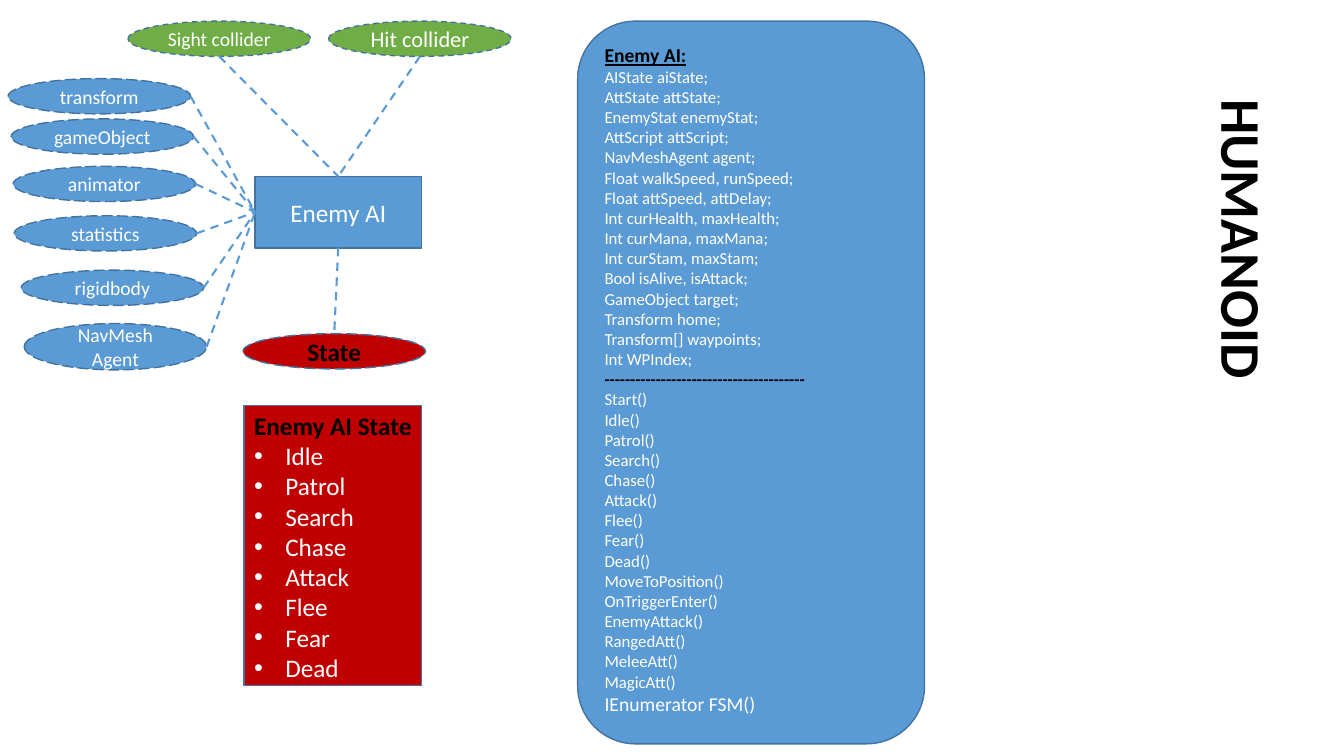
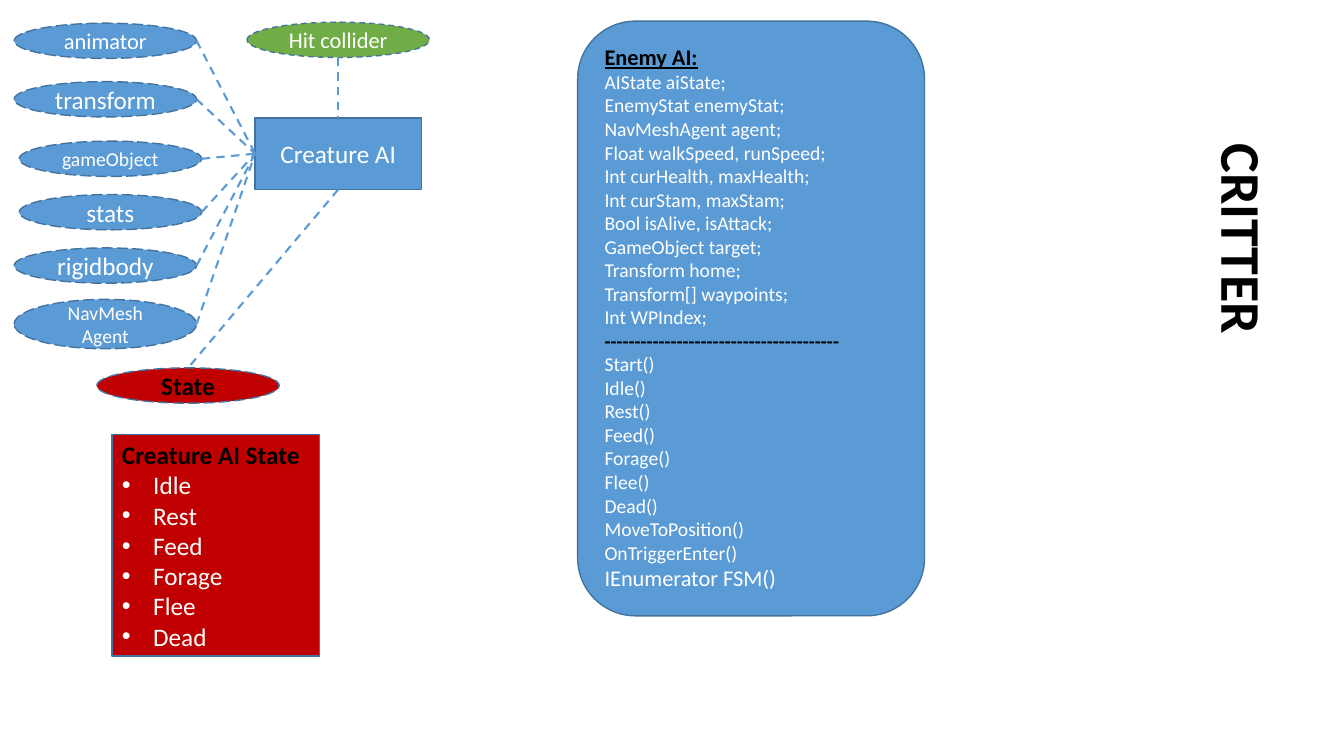
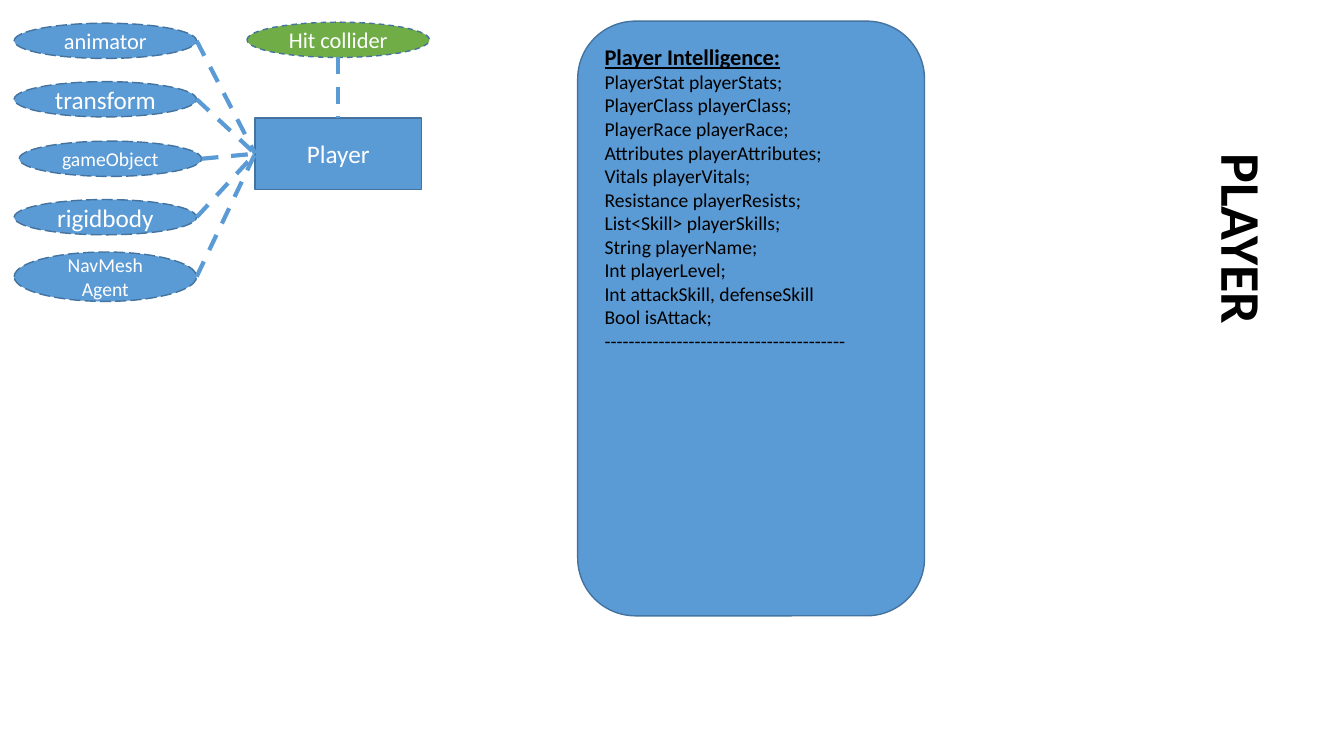
"""Build three slides that map the components, states and code of game actors."""
import pptx
import pptx.util
import pptx.dml.color
import pptx.enum.dml
import pptx.enum.shapes
import pptx.enum.text
import lxml.etree

Inches = pptx.util.Inches
Shape = pptx.enum.shapes.MSO_SHAPE
Dash = pptx.enum.dml.MSO_LINE
Anchor = pptx.enum.text.MSO_ANCHOR
Align = pptx.enum.text.PP_ALIGN

COLORS = {"blue": "5B9BD5", "edge": "43739E", "green": "70AD47",
          "red": "C00000", "white": "FFFFFF", "black": "000000"}
RGB = {name: pptx.dml.color.RGBColor.from_string(value) for name, value in COLORS.items()}
FONT = "Calibri"
NODE_WIDTH, NODE_HEIGHT = 1.81, 0.35
CORE_LEFT, CORE_WIDTH, CORE_HEIGHT = 2.53, 1.65, 0.71
CORE_CENTER = CORE_LEFT + CORE_WIDTH / 2
DIVIDER = "-" * 39

ACTORS = [
    {
        "title": "HUMANOID", "core": "Enemy AI", "core_top": 1.75, "link_width": 1.5,
        "components": [("transform", 0.08, 0.78, NODE_HEIGHT, 14),
                       ("gameObject", 0.11, 1.18, NODE_HEIGHT, 14),
                       ("animator", 0.13, 1.65, NODE_HEIGHT, 14),
                       ("statistics", 0.14, 2.14, NODE_HEIGHT, 14),
                       ("rigidbody", 0.21, 2.68, NODE_HEIGHT, 14),
                       ("NavMesh Agent", 0.24, 3.21, 0.46, 14)],
        "colliders": [("Sight collider", 1.27, 0.21, 14), ("Hit collider", 3.26, 0.21, 16)],
        "state_at": (2.41, 3.31), "states_box": (2.42, 4.02, 1.76, 2.78),
        "states": ["Idle", "Patrol", "Search", "Chase", "Attack", "Flee", "Fear", "Dead"],
        "code_height": 7.17, "code_size": 12, "code_color": "white",
        "code": ["Enemy AI:", "AIState aiState;", "AttState attState;",
                 "EnemyStat enemyStat;", "AttScript attScript;", "NavMeshAgent agent;",
                 "Float walkSpeed, runSpeed;", "Float attSpeed, attDelay;",
                 "Int curHealth, maxHealth;", "Int curMana, maxMana;",
                 "Int curStam, maxStam;", "Bool isAlive, isAttack;",
                 "GameObject target;", "Transform home;", "Transform[] waypoints;",
                 "Int WPIndex;", DIVIDER, "Start()", "Idle()", "Patrol()", "Search()",
                 "Chase()", "Attack()", "Flee()", "Fear()", "Dead()", "MoveToPosition()",
                 "OnTriggerEnter()", "EnemyAttack()", "RangedAtt()", "MeleeAtt()",
                 "MagicAtt()", "IEnumerator FSM()"],
    },
    {
        "title": "CRITTER", "core": "Creature AI", "core_top": 1.17, "link_width": 1.5,
        "components": [("animator", 0.14, 0.23, NODE_HEIGHT, 16),
                       ("transform", 0.14, 0.81, NODE_HEIGHT, 18),
                       ("gameObject", 0.19, 1.4, NODE_HEIGHT, 14),
                       ("stats", 0.19, 1.93, NODE_HEIGHT, 18),
                       ("rigidbody", 0.14, 2.46, NODE_HEIGHT, 18),
                       ("NavMesh Agent", 0.14, 2.97, 0.49, 14)],
        "colliders": [("Hit collider", 2.45, 0.22, 16)],
        "state_at": (0.96, 3.65), "states_box": (1.11, 4.31, 2.06, 2.2),
        "states": ["Idle", "Rest", "Feed", "Forage", "Flee", "Dead"],
        "code_height": 5.9, "code_size": 14, "code_color": "white",
        "code": ["Enemy AI:", "AIState aiState;", "EnemyStat enemyStat;",
                 "NavMeshAgent agent;", "Float walkSpeed, runSpeed;",
                 "Int curHealth, maxHealth;", "Int curStam, maxStam;",
                 "Bool isAlive, isAttack;", "GameObject target;", "Transform home;",
                 "Transform[] waypoints;", "Int WPIndex;", DIVIDER, "Start()", "Idle()",
                 "Rest()", "Feed()", "Forage()", "Flee()", "Dead()", "MoveToPosition()",
                 "OnTriggerEnter()", "IEnumerator FSM()"],
    },
    {
        "title": "PLAYER", "core": "Player", "core_top": 1.17, "link_width": 3,
        "components": [("animator", 0.14, 0.23, NODE_HEIGHT, 16),
                       ("transform", 0.14, 0.81, NODE_HEIGHT, 18),
                       ("gameObject", 0.19, 1.4, NODE_HEIGHT, 14),
                       ("rigidbody", 0.14, 1.98, NODE_HEIGHT, 18),
                       ("NavMesh Agent", 0.14, 2.5, 0.49, 14)],
        "colliders": [("Hit collider", 2.45, 0.22, 16)],
        "states": [],
        "code_height": 5.9, "code_size": 14, "code_color": "black",
        "code": ["Player Intelligence:", "PlayerStat playerStats;",
                 "PlayerClass playerClass;", "PlayerRace playerRace;",
                 "Attributes playerAttributes;", "Vitals playerVitals;",
                 "Resistance playerResists;", "List<Skill> playerSkills;",
                 "String playerName;", "Int playerLevel;", "Int attackSkill, defenseSkill",
                 "Bool isAttack;", DIVIDER + "-"],
    },
]


def add_node(slide, kind, box, text, fill, size, color="white", bold=False, dash=None):
    node = slide.shapes.add_shape(kind, *map(Inches, box))
    node.shadow.inherit = False
    node.fill.solid()
    node.fill.fore_color.rgb = RGB[fill]
    node.line.color.rgb = RGB["edge"]
    node.line.width = pptx.util.Pt(1)
    if dash:
        node.line.dash_style = dash
    node.text_frame.text = text
    for paragraph in node.text_frame.paragraphs:
        paragraph.alignment = Align.CENTER
        paragraph.font.name = FONT
        paragraph.font.size = pptx.util.Pt(size)
        paragraph.font.bold = bold
        paragraph.font.color.rgb = RGB[color]
    return node


def add_link(slide, start, end, width):
    link = slide.shapes.add_connector(pptx.enum.shapes.MSO_CONNECTOR.STRAIGHT,
                                      *map(Inches, start + end))
    link.line.color.rgb = RGB["blue"]
    link.line.width = pptx.util.Pt(width)
    link.line.dash_style = Dash.DASH
    lxml.etree.SubElement(link._element.spPr, pptx.oxml.ns.qn("a:effectLst"))


deck = pptx.Presentation()
deck.slide_width, deck.slide_height = Inches(13.33), Inches(7.5)
content_layout, title_layout = deck.slide_layouts[1], deck.slide_layouts[5]

for actor in ACTORS:
    slide = deck.slides.add_slide(content_layout if actor["states"] else title_layout)
    core_top, width = actor["core_top"], actor["link_width"]
    core_side = (CORE_LEFT, core_top + CORE_HEIGHT / 2)

    title = slide.shapes.title
    title.left, title.top, title.width, title.height = map(Inches, (10.62, 1.93, 3.32, 0.88))
    title.rotation = 90
    title.text_frame.text = actor["title"]
    title.text_frame.auto_size = pptx.enum.text.MSO_AUTO_SIZE.NONE
    title.text_frame.vertical_anchor = Anchor.TOP
    heading = title.text_frame.paragraphs[0]
    heading.alignment = Align.CENTER
    heading.font.name, heading.font.size, heading.font.bold = FONT, pptx.util.Pt(40), True
    heading.font.color.rgb = RGB["black"]

    add_node(slide, Shape.RECTANGLE, (CORE_LEFT, core_top, CORE_WIDTH, CORE_HEIGHT),
             actor["core"], "blue", 18)

    for label, left, top, height, size in actor["components"]:
        add_node(slide, Shape.OVAL, (left, top, NODE_WIDTH, height), label, "blue", size,
                 dash=Dash.LONG_DASH)
        add_link(slide, (left + NODE_WIDTH, top + height / 2), core_side, width)

    for label, left, top, size in actor["colliders"]:
        add_node(slide, Shape.OVAL, (left, top, NODE_WIDTH, NODE_HEIGHT), label, "green", size,
                 dash=Dash.DASH)
        add_link(slide, (left + NODE_WIDTH / 2, top + NODE_HEIGHT), (CORE_CENTER, core_top), width)

    if actor["states"]:
        left, top = actor["state_at"]
        add_node(slide, Shape.OVAL, (left, top, NODE_WIDTH, NODE_HEIGHT), "State", "red", 18,
                 color="black", bold=True, dash=Dash.LONG_DASH)
        add_link(slide, (CORE_CENTER, core_top + CORE_HEIGHT), (left + NODE_WIDTH / 2, top), width)

        states = slide.placeholders[1]
        states.left, states.top, states.width, states.height = map(Inches, actor["states_box"])
        states.fill.solid()
        states.fill.fore_color.rgb = RGB["red"]
        states.line.color.rgb = RGB["edge"]
        states.line.width = pptx.util.Pt(1)
        states.text_frame.text = "\n".join([actor["core"] + " State"] + actor["states"])
        states.text_frame.auto_size = pptx.enum.text.MSO_AUTO_SIZE.NONE
        states.text_frame.vertical_anchor = Anchor.TOP
        states.text_frame.margin_right = 0
        for row, paragraph in enumerate(states.text_frame.paragraphs):
            paragraph.space_before = pptx.util.Pt(0)
            paragraph.font.name, paragraph.font.size = FONT, pptx.util.Pt(18)
            paragraph.font.bold = row == 0
            paragraph.font.color.rgb = RGB["white" if row else "black"]
            indent = Inches(0.31) if row else 0
            properties = paragraph._p.get_or_add_pPr()
            properties.set("marL", str(indent))
            properties.set("indent", str(-indent))
            if row == 0:
                bullet = lxml.etree.Element(pptx.oxml.ns.qn("a:buNone"))
                properties.find(pptx.oxml.ns.qn("a:defRPr")).addprevious(bullet)

    code = add_node(slide, Shape.ROUNDED_RECTANGLE, (5.73, 0.21, 3.44, actor["code_height"]),
                    "\n".join(actor["code"]), "blue", actor["code_size"], actor["code_color"])
    code.text_frame.vertical_anchor = Anchor.TOP
    for row, paragraph in enumerate(code.text_frame.paragraphs):
        paragraph.alignment = Align.LEFT
        if row == 0 or paragraph.text == DIVIDER:
            paragraph.font.bold = True
            paragraph.font.color.rgb = RGB["black"]
        if row == 0 or paragraph.text.startswith("IEnumerator"):
            paragraph.font.size = pptx.util.Pt(actor["code_size"] + 2)
        paragraph.font.underline = row == 0

    for paragraph in [p for shape in slide.shapes if shape.has_text_frame
                      for p in shape.text_frame.paragraphs]:
        for run in paragraph.runs:
            run.font.name, run.font.size = FONT, paragraph.font.size
            run.font.bold, run.font.underline = paragraph.font.bold, paragraph.font.underline
            run.font.color.rgb = paragraph.font.color.rgb

deck.save("out.pptx")
